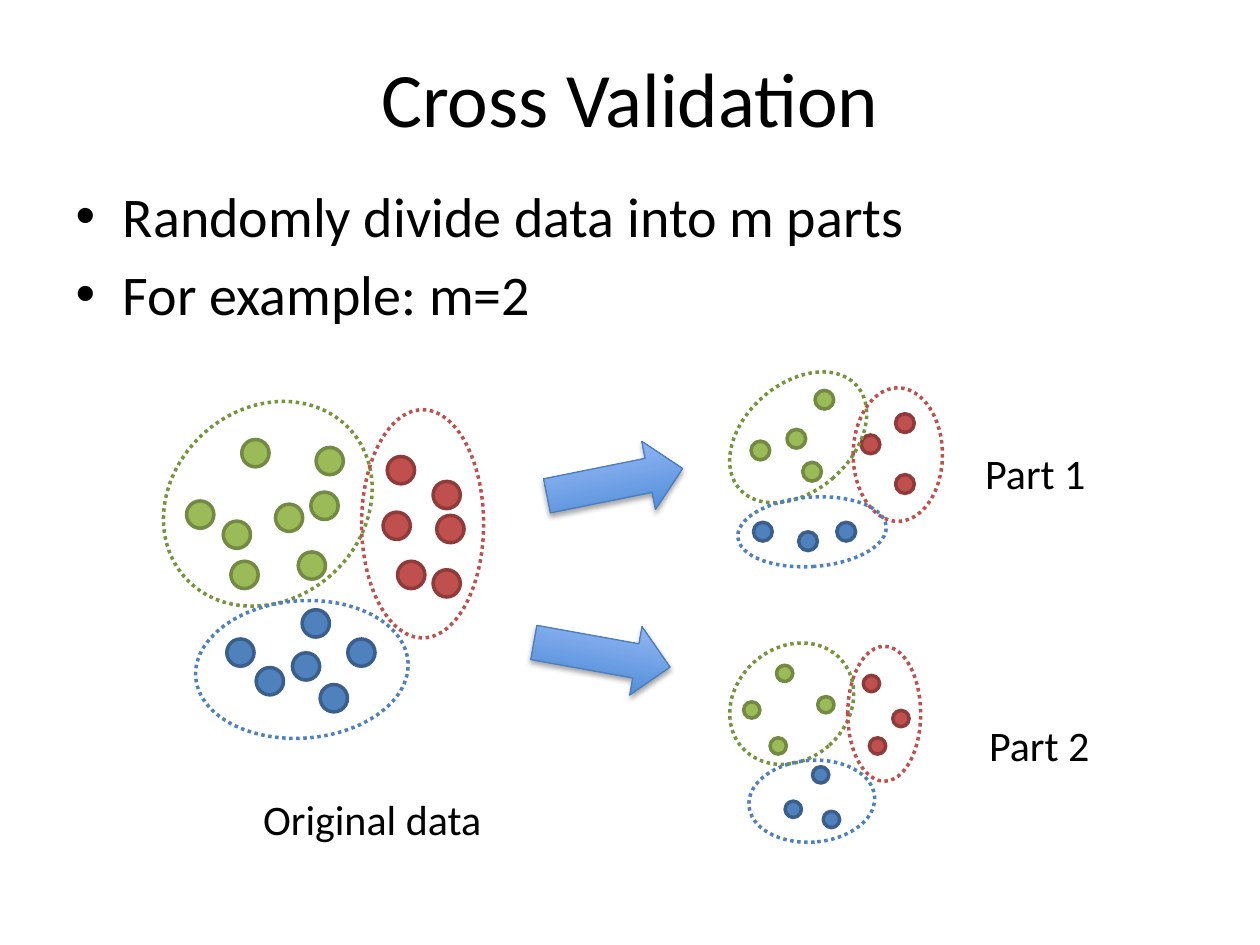
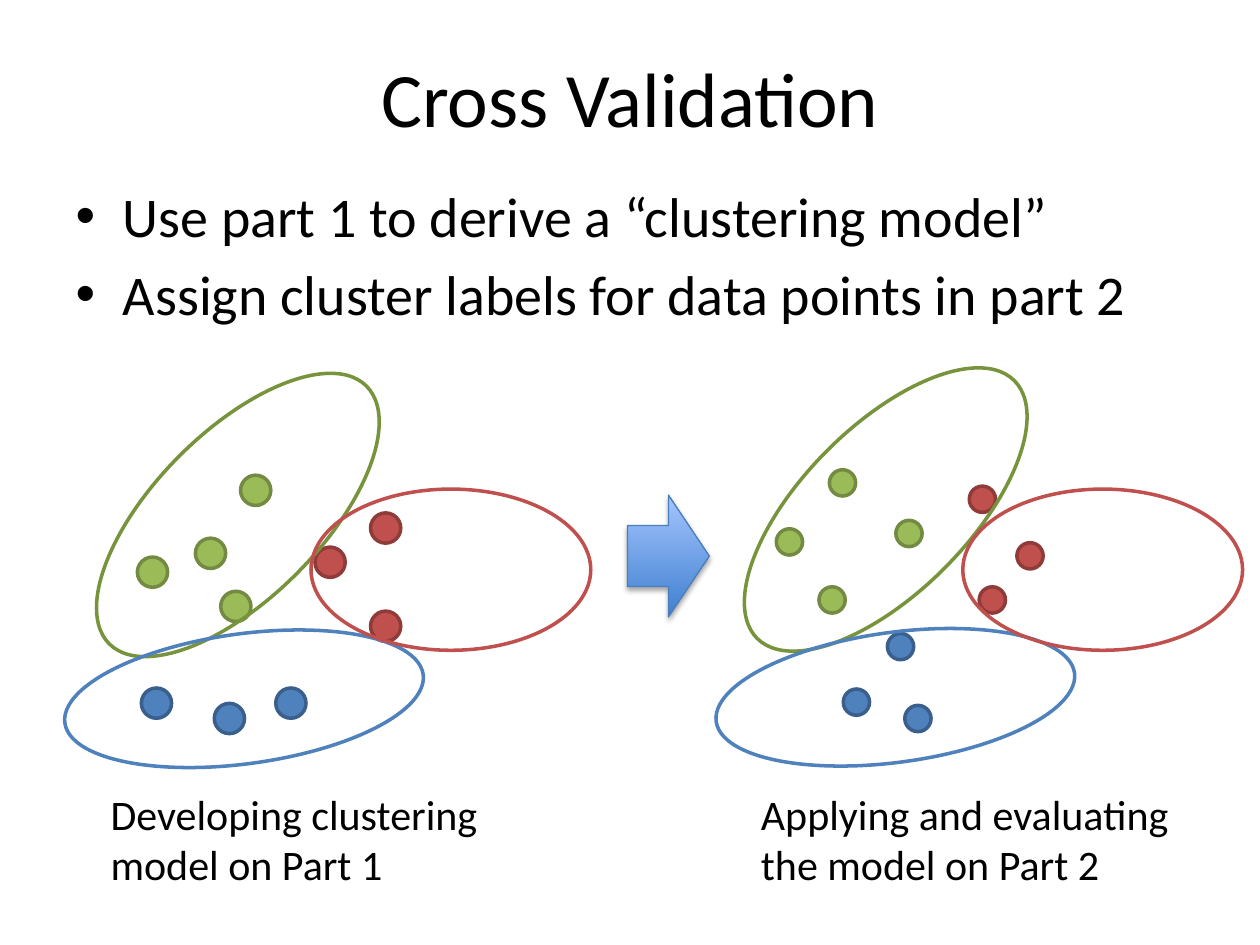
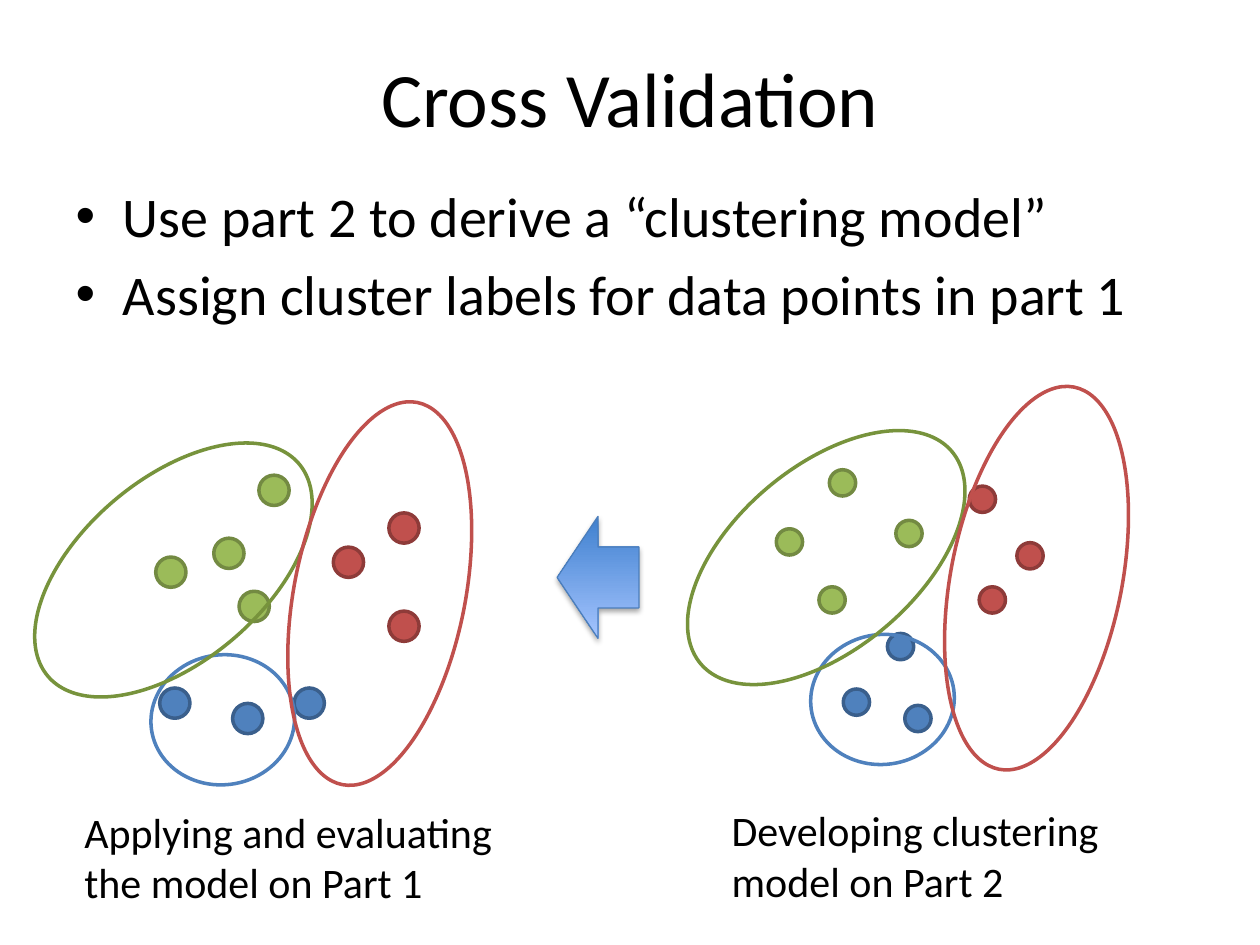
from dataclasses import dataclass

from lxml import etree
from pptx import Presentation
from pptx.dml.color import RGBColor
from pptx.enum.dml import MSO_LINE
from pptx.enum.shapes import MSO_SHAPE
from pptx.enum.text import MSO_ANCHOR, MSO_AUTO_SIZE, PP_ALIGN
from pptx.oxml.ns import qn
from pptx.util import Cm, Pt


@dataclass(frozen=True)
class Theme:
    font: str = "Calibri"
    ink: str = "000000"
    green: str = "9BBB59"
    green_edge: str = "738A42"
    green_ring: str = "77933C"
    red: str = "C0504D"
    red_edge: str = "8E3B39"
    red_ring: str = "C0504D"
    blue: str = "4F81BD"
    blue_edge: str = "3A5F8C"
    blue_ring: str = "4F81BD"
    arrow_dark: str = "3F80CE"
    arrow_light: str = "A4C4FF"
    arrow_edge: str = "4B7EBC"
    title_size: int = 44
    body_size: int = 32
    label_size: int = 24
    outline: float = 2
    arrow_outline: float = 0.75


@dataclass(frozen=True)
class Points:
    """Dots of one half of the data: size and offsets in cm at scale 1."""
    size: float
    green: tuple
    red: tuple
    blue: tuple


PART_1 = Points(
    size=0.61,
    green=((0, 1.65), (1.68, 2.34), (2.08, 0), (1.17, 1.27)),
    red=((3.58, 1.45), (4.7, 0.76), (4.7, 2.74)),
    blue=((2.79, 4.29), (0.08, 4.29), (1.55, 4.6)),
)
PART_2 = Points(
    size=0.53,
    green=((0.86, 2.36), (2.41, 1.02), (0, 1.19), (1.07, 0)),
    red=((4.09, 2.36), (4.85, 1.47), (3.89, 0.33)),
    blue=((1.35, 4.42), (2.59, 4.75), (2.24, 3.3)),
)

# Cluster outlines: width, height (cm) and rotation (degrees) for each colour.
DATA_RINGS = {"green": (3.84, 4.47, 228.7), "red": (2.46, 4.6, 0), "blue": (2.77, 4.29, 265.9)}
PART_1_RINGS = {"green": (2.16, 3.15, 228.7), "red": (1.8, 2.69, 0), "blue": (1.4, 3, 265.9)}
PART_2_RINGS = {"green": (2.26, 2.67, 228.7), "red": (1.47, 2.72, 0), "blue": (1.65, 2.54, 265.9)}
MODEL_1 = {"green": (3.35, 7.34, 224.9), "blue": (2.62, 7.29, 262.3), "red": (5.64, 3.25, 0)}
MODEL_2 = {"blue": (2.62, 2.9, 262.3), "green": (6.63, 3.68, 139.8), "red": (7.85, 3.45, 281.1)}

SMALL = 0.62
BLOCK_ARROW = (1.65, 2.46)
SLIM_ARROW = (2.79, 1.4)


def lengths(*values):
    return [Cm(value) for value in values]


def write(para, text, *, font, size, color, align=None):
    para.alignment = align
    span = para.add_run()
    span.text = text
    span.font.name = font
    span.font.size = Pt(size)
    span.font.color.rgb = RGBColor.from_string(color)


class Builder:
    def __init__(self, deck, theme):
        self.deck = deck
        self.theme = theme
        self.page = None

    def color(self, name):
        return RGBColor.from_string(getattr(self.theme, name))

    def new_page(self, title, bullets):
        self.page = self.deck.slides.add_slide(self.deck.slide_layouts[1])
        heading, body = self.page.placeholders
        self.fill_placeholder(heading, (1.27, 0.76, 22.86, 2.36), [title],
                              self.theme.title_size, PP_ALIGN.CENTER)
        heading.text_frame.vertical_anchor = MSO_ANCHOR.MIDDLE
        self.fill_placeholder(body, (1.27, 3.53, 22.86, 3.68), bullets, self.theme.body_size)

    def fill_placeholder(self, box, frame, lines, size, align=None):
        box.left, box.top, box.width, box.height = lengths(*frame)
        text = box.text_frame
        text.auto_size = MSO_AUTO_SIZE.NONE
        for index, line in enumerate(lines):
            para = text.add_paragraph() if index else text.paragraphs[0]
            write(para, line, font=self.theme.font, size=size, color=self.theme.ink, align=align)

    def label(self, text, left, top, width, height=1.27, align=PP_ALIGN.LEFT):
        box = self.page.shapes.add_textbox(*lengths(left, top, width, height))
        box.text_frame.word_wrap = True
        write(box.text_frame.paragraphs[0], text, font=self.theme.font,
              size=self.theme.label_size, color=self.theme.ink, align=align)

    def group(self):
        return self.page.shapes.add_group_shape()

    def ellipse(self, group, frame, edge):
        shape = group.shapes.add_shape(MSO_SHAPE.OVAL, *lengths(*frame))
        shape.shadow.inherit = False
        shape.line.color.rgb = self.color(edge)
        shape.line.width = Pt(self.theme.outline)
        return shape

    def dots(self, group, points, left, top, scale=1):
        size = points.size * scale
        for tone in ("green", "red", "blue"):
            for across, down in getattr(points, tone):
                frame = (left + across * scale, top + down * scale, size, size)
                dot = self.ellipse(group, frame, f"{tone}_edge")
                dot.fill.solid()
                dot.fill.fore_color.rgb = self.color(tone)

    def rings(self, group, outlines, dotted=False, **corners):
        """Draw the outlines at the left-top corner given for each colour."""
        for tone, (width, height, rotation) in outlines.items():
            ring = self.ellipse(group, (*corners[tone], width, height), f"{tone}_ring")
            ring.fill.background()
            ring.rotation = rotation
            if dotted:
                ring.line.dash_style = MSO_LINE.ROUND_DOT

    def arrow(self, left, top, size, rotation=0):
        arrow = self.page.shapes.add_shape(MSO_SHAPE.RIGHT_ARROW, *lengths(left, top, *size))
        arrow.rotation = rotation
        arrow.fill.gradient()
        arrow.fill.gradient_angle = 90
        for stop, name in zip(arrow.fill.gradient_stops, ("arrow_dark", "arrow_light")):
            stop.color.rgb = self.color(name)
        arrow.line.color.rgb = self.color("arrow_edge")
        arrow.line.width = Pt(self.theme.arrow_outline)
        self.drop_shadow(arrow)

    def drop_shadow(self, shape):
        shape.shadow.inherit = False
        effects = shape.element.spPr.find(qn("a:effectLst"))
        shadow = etree.SubElement(effects, qn("a:outerShdw"), blurRad=str(Pt(3.1)),
                                  dist=str(Pt(1.8)), dir="5400000", rotWithShape="0")
        tint = etree.SubElement(shadow, qn("a:srgbClr"), val=self.theme.ink)
        etree.SubElement(tint, qn("a:alpha"), val="35000")


def split_page(build):
    build.new_page("Cross Validation",
                   ["Randomly divide data into m parts", "For example: m=2"])
    build.label("Original data", 4.01, 15.88, 6.99, align=PP_ALIGN.CENTER)
    build.label("Part 1", 19.61, 8.89, 3.2)
    build.label("Part 2", 19.69, 14.38, 3.2)

    second = build.group()
    build.dots(second, PART_2, 14.99, 13.41, SMALL)
    build.rings(second, PART_2_RINGS, dotted=True,
                green=(14.83, 12.85), red=(17.09, 13.03), blue=(15.54, 14.88))

    whole = build.group()
    build.dots(whole, PART_2, 3.76, 8.86, 1.04)
    build.rings(whole, DATA_RINGS, dotted=True,
                green=(3.48, 7.92), red=(7.29, 8.26), blue=(4.7, 11.35))
    build.dots(whole, PART_1, 4.5, 9.02, 0.9)

    first = build.group()
    build.dots(first, PART_1, 15.14, 7.87, SMALL)
    build.rings(first, PART_1_RINGS, dotted=True,
                green=(15.01, 7.24), red=(17.2, 7.82), blue=(15.67, 9.22))

    build.arrow(11, 9.02, SLIM_ARROW, rotation=348.6)
    build.arrow(10.74, 12.5, SLIM_ARROW, rotation=10.2)


def model_page(build, trained, tested, model, part_1_left, left_rings, right_rings):
    """Start a page with Part 1 on the left and Part 2 on the right under one model."""
    build.new_page("Cross Validation",
                   [f"Use part {trained} to derive a “clustering model”",
                    f"Assign cluster labels for data points in part {tested}"])
    for points, left, top, corners in ((PART_1, part_1_left, 9.58, left_rings),
                                       (PART_2, 15.65, 9.47, right_rings)):
        group = build.group()
        build.dots(group, points, left, top)
        build.rings(group, model, **corners)


def main():
    deck = Presentation()
    deck.slide_width, deck.slide_height = lengths(25.4, 19.05)
    build = Builder(deck, Theme())

    split_page(build)

    model_page(build, 1, 2, MODEL_1, 2.77,
               {"green": (3.12, 6.71), "blue": (3.61, 10.44), "red": (6.27, 9.86)},
               {"green": (16.18, 6.6), "blue": (16.74, 10.41), "red": (19.41, 9.86)})
    build.label("Developing clustering model on Part 1", 1.98, 15.77, 9.37, 2.31)
    build.label("Applying and evaluating the model on Part 2", 15.09, 15.77, 9.3, 2.31)
    build.arrow(12.65, 9.98, BLOCK_ARROW)

    model_page(build, 2, 1, MODEL_2, 3.14,
               {"green": (0.18, 9.65), "blue": (3.18, 13.06), "red": (3.73, 10.24)},
               {"green": (13.34, 9.4), "blue": (16.48, 12.65), "red": (16.97, 9.93)})
    build.label("Developing clustering model on Part 2", 14.5, 16.1, 9.37, 2.31)
    build.label("Applying and evaluating the model on Part 1", 1.45, 16.13, 9.3, 2.31)
    build.arrow(11.23, 10.41, BLOCK_ARROW, rotation=180)

    deck.save("out.pptx")


if __name__ == "__main__":
    main()
